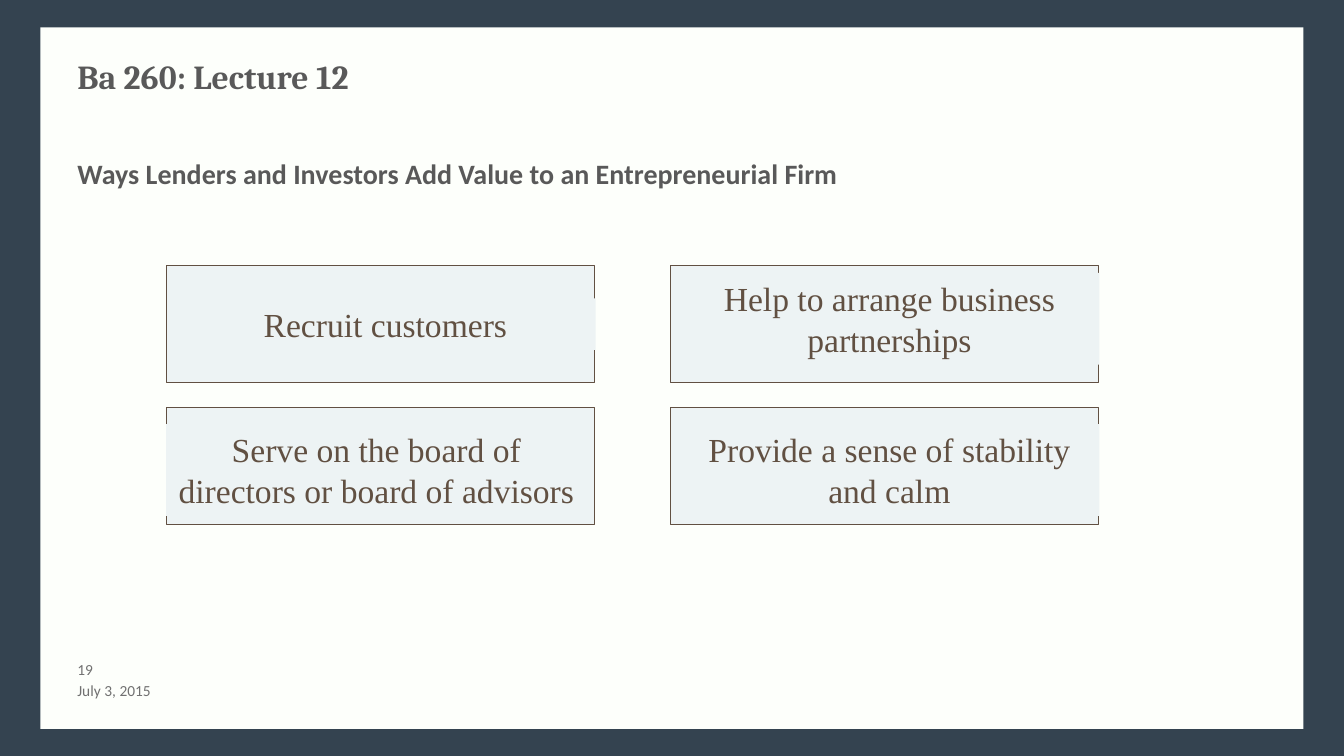
from pptx import Presentation
from pptx import util as u
from pptx.dml.color import RGBColor
from pptx.enum import shapes, text

FRAME_LEFT, FRAME_TOP = 4.19, 6.68
FRAME_WIDTH, FRAME_HEIGHT = 10.8, 2.97
COLUMN_STEP, ROW_STEP = 12.7, 3.58
LABEL_WIDTH = 10.59
NAVY, IVORY, PALE_BLUE = "344350", "FDFFFB", "EDF3F4"
BROWN, DARK_GREY, GREY = "615042", "595959", "717171"

# Wording, left, top and height of each label
LABELS = [
    ("Recruit customers", 4.42, 7.52, 1.3),
    ("Help to arrange business partnerships", 17.12, 6.88, 2.31),
    ("Serve on the board of directors or board of advisors", 4.19, 10.69, 2.31),
    ("Provide a sense of stability and calm", 17.12, 10.69, 2.31),
]


def color(value):
    return RGBColor.from_string(value)


def add_rectangle(slide, left, top, width, height, fill, line=None):
    shape = slide.shapes.add_shape(
        shapes.MSO_SHAPE.RECTANGLE, u.Cm(left), u.Cm(top), u.Cm(width), u.Cm(height))
    shape.shadow.inherit = False
    shape.fill.solid()
    shape.fill.fore_color.rgb = color(fill)
    if line:
        shape.line.color.rgb = color(line)
        shape.line.width = u.Pt(0.75)
    else:
        shape.line.fill.background()
    return shape


def write(shape, wording, *, size, font, ink, bold=False, align=text.PP_ALIGN.LEFT,
          anchor=text.MSO_ANCHOR.TOP, margin=0.13):
    """Fill a shape with one paragraph; margin is the top and bottom inset in cm."""
    frame = shape.text_frame
    frame.word_wrap = True
    frame.vertical_anchor = anchor
    frame.margin_top = frame.margin_bottom = u.Cm(margin)
    paragraph = frame.paragraphs[0]
    paragraph.alignment = align
    run = paragraph.add_run()
    run.text = wording
    run.font.size = u.Pt(size)
    run.font.name = font
    run.font.bold = bold
    run.font.color.rgb = color(ink)


def add_text(slide, wording, left, top, width, height, **style):
    box = slide.shapes.add_textbox(u.Cm(left), u.Cm(top), u.Cm(width), u.Cm(height))
    write(box, wording, **style)
    return box


def add_label(slide, wording, left, top, height):
    label = add_rectangle(slide, left, top, LABEL_WIDTH, height, PALE_BLUE)
    write(label, wording, size=24, font="Times New Roman", ink=BROWN,
          align=text.PP_ALIGN.CENTER)


def main():
    presentation = Presentation()
    presentation.slide_width, presentation.slide_height = u.Cm(33.87), u.Cm(19.05)
    slide = presentation.slides.add_slide(presentation.slide_layouts[6])
    slide.background.fill.solid()
    slide.background.fill.fore_color.rgb = color(NAVY)
    add_rectangle(slide, 1.02, 0.69, 31.83, 17.68, IVORY)

    add_text(slide, "Ways Lenders and Investors Add Value to an Entrepreneurial Firm",
             1.7, 3.81, 28.37, 2.31, size=20, font="Calibri", ink=DARK_GREY, bold=True)
    add_text(slide, "Ba 260: Lecture 12", 1.7, 1.27, 30.48, 1.9,
             size=24, font="Cambria", ink=DARK_GREY, bold=True)
    add_text(slide, "July 3, 2015", 1.7, 17.15, 6.78, 0.51, size=11, font="Calibri",
             ink=GREY, anchor=text.MSO_ANCHOR.MIDDLE, margin=0)
    number = add_text(slide, "19", 1.7, 16.64, 1.35, 0.51, size=11, font="Calibri",
                      ink=GREY, margin=0)
    number.text_frame.margin_right = 0

    for row in range(2):
        for column in range(2):
            add_rectangle(slide, FRAME_LEFT + column * COLUMN_STEP,
                          FRAME_TOP + row * ROW_STEP,
                          FRAME_WIDTH, FRAME_HEIGHT, PALE_BLUE, BROWN)
    for label in LABELS:
        add_label(slide, *label)

    presentation.save("out.pptx")


if __name__ == "__main__":
    main()
